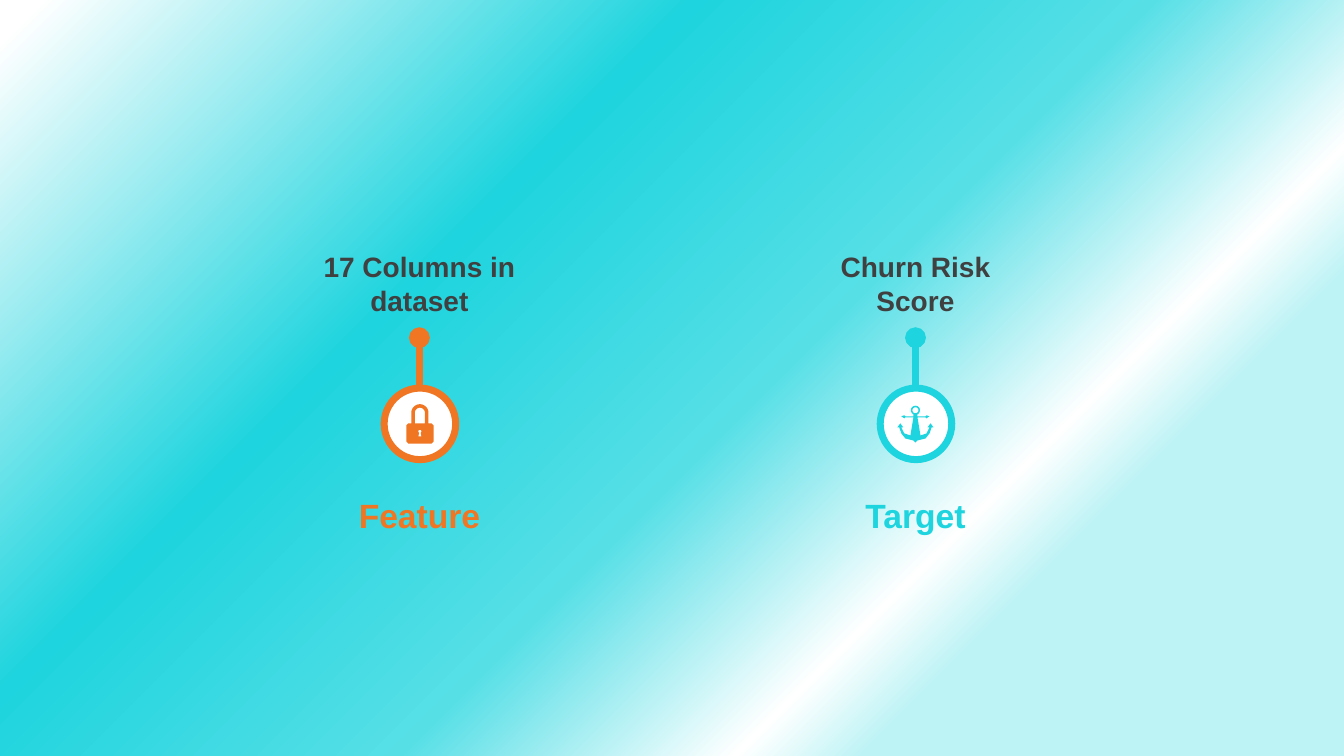
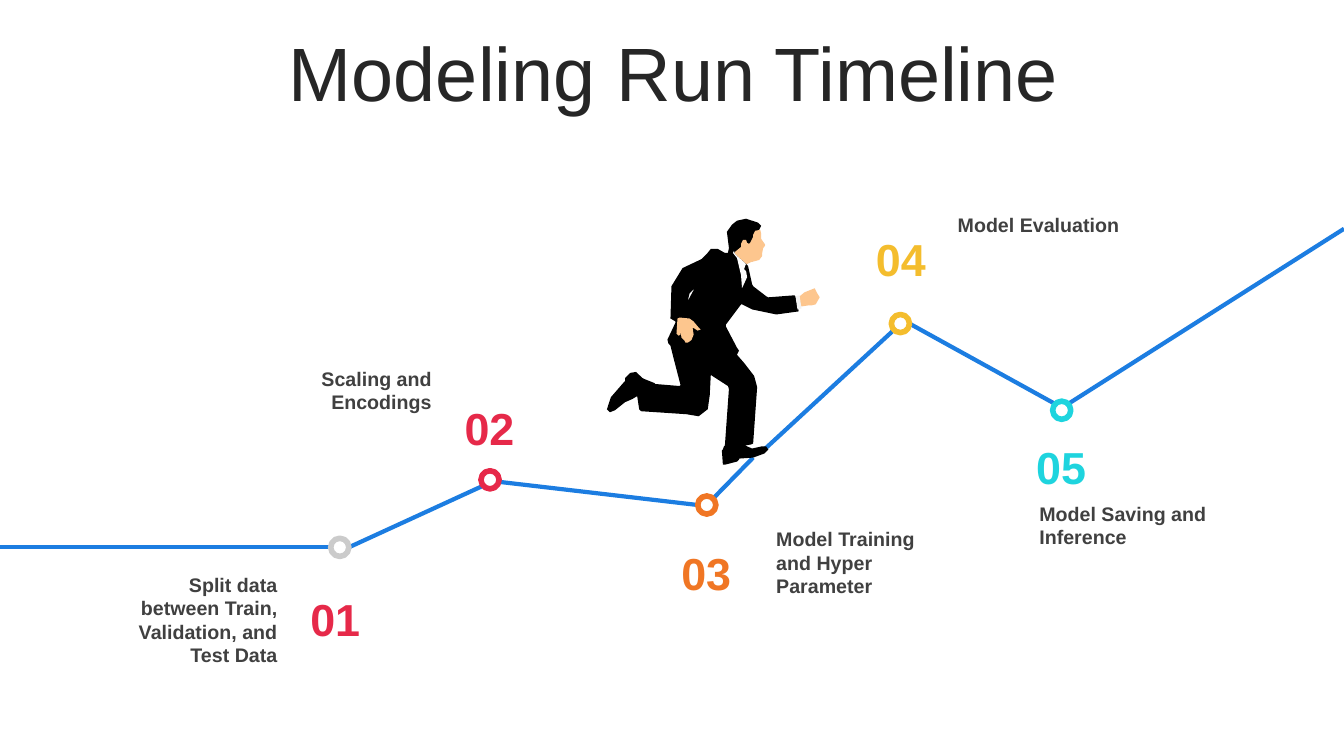
from math import cos, radians, sin

from lxml import etree
from pptx import Presentation
from pptx.dml.color import RGBColor
from pptx.enum.shapes import MSO_CONNECTOR as Link, MSO_SHAPE as Kind
from pptx.enum.text import MSO_ANCHOR as Anchor, MSO_AUTO_SIZE as Fit, PP_ALIGN as Align
from pptx.oxml.ns import qn
from pptx.util import Pt

PX = 9144
FINE = 20
FONT = "Arial"
WHITE, BLACK, SKIN = "FFFFFF", "000000", "FDC68E"
INK, DARK, BLUE = "404040", "262626", "1C7DE1"
GREY, RED, ORANGE, GOLD, CYAN = "CBCBCB", "E62949", "F07624", "F4BD2D", "1ED4DE"
GLOW = [(23, "BEF3F5"), (29, WHITE), (45, "57DFE6"), (67, CYAN), (98, WHITE)]

SUIT = """188 93 162 95 160 94 147 84 146 82 142 64 140 62 144 60 152 57 155 54
155 51 156 46 157 44 158 42 155 39 154 36 153 31 153 28 154 26 155 24 153 22 152 21
140 17 131 19 126 23 121 30 123 46 122 51 119 51 112 47 105 47 101 52 96 57 77 66
66 84 65 116 70 119 70 120 62 137 63 141 65 143 68 155 75 182 74 183 50 181 49 180
39 176 37 175 31 169 25 170 20 175 20 178 19 179 6 194 2 206 5 209 10 207 20 199
27 196 32 193 34 206 36 208 81 211 93 213 102 206 104 192 105 172 122 183 123 186
119 242 118 243 117 246 116 247 117 261 119 261 131 258 133 256 133 255 147 254
158 250 162 246 160 243 155 243 146 245 139 242 145 241 147 240 151 184 148 173
138 160 131 152 133 148 131 145 120 124 120 122 135 102 136 102 146 107 170 112
192 109 192 108 189 94"""
ELBOW = "82 99 84 91 89 86"
FIST = "210 90 213 95 209 102 205 103 202 103 195 104 194 103 192 96 193 94 198 90 208 86"
CUFF = "189 94 193 93 195 106 191 107"
FACE = """129 50 135 45 135 42 137 38 140 38 141 41 143 42 144 41 147 35 147 33 149 29
154 28 155 32 155 37 157 40 159 43 158 45 157 46 156 51 156 54 153 58 145 60 141 62
139 61 129 52"""
SHIRT = "128 49 129 52 140 62 139 64 138 67 140 69 141 75 136 86 135 73 131 56 127 51"
HAND = """87 125 88 132 86 137 85 138 82 140 80 140 79 138 76 135 75 129 75 132 73 133
71 131 72 116 74 115 84 116 88 119 93 125 95 127 92 128 89 126"""
RUNNER = [(BLACK, SUIT, ELBOW), (SKIN, FIST), ("F2F2F2", CUFF), (SKIN, FACE),
          ("FDFDFD", SHIRT), (SKIN, HAND)]

LOCK = "0 21 2 19 25 19 27 21 27 37 25 39 2 39 0 37"
FLUKE = """2 8 2 10 10 10 11 9 14 10 11 12 10 11 2 11 5 29 11 27 14 21 12 21 15 17
18 21 16 21 14 27 10 32 2 34 0 36"""

LEGS = [(0, 543, 328, 543), (346, 543, 479, 482), (486, 477, 692, 501),
        (758, 446, 887, 327), (747, 454, 701, 501), (902, 321, 1047, 401),
        (1059, 401, 1333, 227)]
STEPS = [
    ((328, 534), GREY, RED, (292, 582), (96, 563, 104), Align.RIGHT,
     "Split data between Train, Validation, and Test Data"),
    ((477, 467), RED, RED, (445, 392), (249, 359, 57), Align.RIGHT,
     "Scaling and Encodings"),
    ((692, 492), ORANGE, ORANGE, (660, 536), (760, 518, 81), Align.LEFT,
     "Model Training and Hyper Parameter"),
    ((884, 312), GOLD, GOLD, (853, 225), (940, 206, 34), Align.LEFT,
     "Model Evaluation"),
    ((1044, 398), CYAN, CYAN, (1012, 431), (1021, 493, 57), Align.LEFT,
     "Model Saving and Inference"),
]


def px(*nums):
    """Turn px lengths into EMU."""
    return [round(n * PX) for n in nums]


def rgb(code):
    """Turn a hex string into a colour."""
    return RGBColor.from_string(code)


def pairs(text):
    """Read a string of numbers as x, y points."""
    nums = [int(n) for n in text.split()]
    return list(zip(nums[::2], nums[1::2]))


def arc(x, y, r, start, end, steps=18):
    """Return points along a circle from one angle to another."""
    turns = [radians(start + (end - start) * i / steps) for i in range(steps + 1)]
    return [(x + r * cos(t), y + r * sin(t)) for t in turns]


def style(frame, size, color, bold, align):
    """Format every run of a text frame."""
    for para in frame.paragraphs:
        para.alignment = align
        for run in para.runs:
            font = run.font
            font.name, font.size, font.bold = FONT, Pt(size), bold
            font.color.rgb = rgb(color)


def label(shapes, box, text, size, color, align=Align.CENTER, anchor=Anchor.TOP):
    """Add a bold wrapped text box."""
    frame = shapes.add_textbox(*px(*box)).text_frame
    frame.word_wrap = True
    frame.vertical_anchor = anchor
    frame.text = text
    style(frame, size, color, True, align)


def line(shapes, ends, color, width, caps=False):
    """Add a straight line, with round caps if asked."""
    link = shapes.add_connector(Link.STRAIGHT, *px(*ends))
    link.line.color.rgb = rgb(color)
    link.line.width = Pt(width)
    props = link.element.spPr
    etree.SubElement(props, qn("a:effectLst"))
    if caps:
        for tag in ("a:headEnd", "a:tailEnd"):
            etree.SubElement(props.find(qn("a:ln")), qn(tag), type="oval")


def ring(shapes, x, y, size, color, width):
    """Add a white disc with a coloured rim."""
    disc = shapes.add_shape(Kind.OVAL, *px(x, y, size, size))
    disc.shadow.inherit = False
    disc.fill.solid()
    disc.fill.fore_color.rgb = rgb(WHITE)
    disc.line.color.rgb = rgb(color)
    disc.line.width = Pt(width)


def outline(shapes, x, y, loops, color):
    """Fill closed loops of points, offset to x, y."""
    pen = None
    for loop in loops:
        first, *rest = [((x + a) * FINE, (y + b) * FINE) for a, b in loop]
        if pen is None:
            pen = shapes.build_freeform(*first, scale=PX / FINE)
        else:
            pen.move_to(*first)
        pen.add_line_segments(rest, close=True)
    form = pen.convert_to_shape()
    form.shadow.inherit = False
    form.fill.solid()
    form.fill.fore_color.rgb = rgb(color)
    form.line.fill.background()


def lock(shapes, x, y, color):
    """Draw a padlock centred on x."""
    bow = arc(13.5, 8.5, 8.5, 180, 360) + [(22, 19), (18.5, 19)]
    bow += arc(13.5, 8.5, 5, 360, 180) + [(8.5, 19), (5, 19)]
    hole = arc(13.5, 27, 1.6, 120, 420) + [(15, 32), (12, 32)]
    outline(shapes, x - 13, y, [pairs(LOCK), bow, hole], color)


def anchor(shapes, x, y, color):
    """Draw a symmetric anchor centred on x."""
    half = arc(0, 4, 4.5, -90, 60) + pairs(FLUKE)
    whole = half + [(-a, b) for a, b in reversed(half)]
    outline(shapes, x, y + 2, [whole, arc(0, 4, 3, 0, 360)], color)


def runner(shapes, x, y):
    """Draw the running man as one group."""
    group = shapes.add_group_shape().shapes
    for color, *loops in RUNNER:
        outline(group, x, y, [pairs(loop) for loop in loops], color)


def glow(slide):
    """Give the slide a gradient that spreads from its lower right corner."""
    slide.background.fill.gradient()
    grad = slide.element.find(".//" + qn("a:gradFill"))
    for child in list(grad):
        grad.remove(child)
    stops = etree.SubElement(grad, qn("a:gsLst"))
    for pos, color in GLOW:
        stop = etree.SubElement(stops, qn("a:gs"), pos=str(pos * 1000))
        etree.SubElement(stop, qn("a:srgbClr"), val=color)
    way = etree.SubElement(grad, qn("a:path"), path="circle")
    etree.SubElement(way, qn("a:fillToRect"), l="100000", t="100000")
    etree.SubElement(grad, qn("a:tileRect"), r="-100000", b="-100000")


def pin(shapes, x, y, color, icon, text, name):
    """Place a pin with its caption above and its name below, centred on x."""
    line(shapes, (x, y + 177, x, y + 92), color, 5, True)
    ring(shapes, x - 35, y + 142, 71, color, 5)
    label(shapes, (x - 115, y, 230, 77), text, 20, INK)
    label(shapes, (x - 74, y + 243, 148, 50), name, 24, color, anchor=Anchor.MIDDLE)
    icon(shapes, x, y + 158, color)


def heading(slide, box, text):
    """Place and format the slide title."""
    title = slide.shapes.title
    title.left, title.top, title.width, title.height = px(*box)
    frame = title.text_frame
    frame.text = text
    frame.auto_size = Fit.NONE
    frame.vertical_anchor = Anchor.MIDDLE
    para = frame.paragraphs[0]
    para.line_spacing, para.space_before = 0.9, Pt(10)
    style(frame, 54, DARK, False, Align.CENTER)


def step(shapes, num, spot, rim, color, mark, note, align, text):
    """Place one numbered step of the timeline."""
    ring(shapes, *spot, 18, rim, 4)
    label(shapes, (*mark, 81, 64), f"{num:02}", 32, color, anchor=Anchor.MIDDLE)
    left, top, tall = note
    label(shapes, (left, top, 189, tall), text, 14, INK, align)


def split(deck):
    """Build the slide of feature and target."""
    slide = deck.slides.add_slide(deck.slide_layouts[6])
    glow(slide)
    pin(slide.shapes, 416, 243, ORANGE, lock, "17 Columns in dataset", "Feature")
    pin(slide.shapes, 908, 243, CYAN, anchor, "Churn Risk Score", "Target")


def timeline(deck):
    """Build the slide of the modeling timeline."""
    slide = deck.slides.add_slide(deck.slide_layouts[5])
    heading(slide, (35, 37, 1266, 79), "Modeling Run Timeline")
    for leg in LEGS:
        line(slide.shapes, leg, BLUE, 3)
    for num, parts in enumerate(STEPS, 1):
        step(slide.shapes, num, *parts)
    runner(slide.shapes, 600, 200)


def main():
    """Build and save the deck."""
    deck = Presentation()
    deck.slide_width, deck.slide_height = px(1333, 750)
    split(deck)
    timeline(deck)
    deck.save("out.pptx")


if __name__ == "__main__":
    main()
